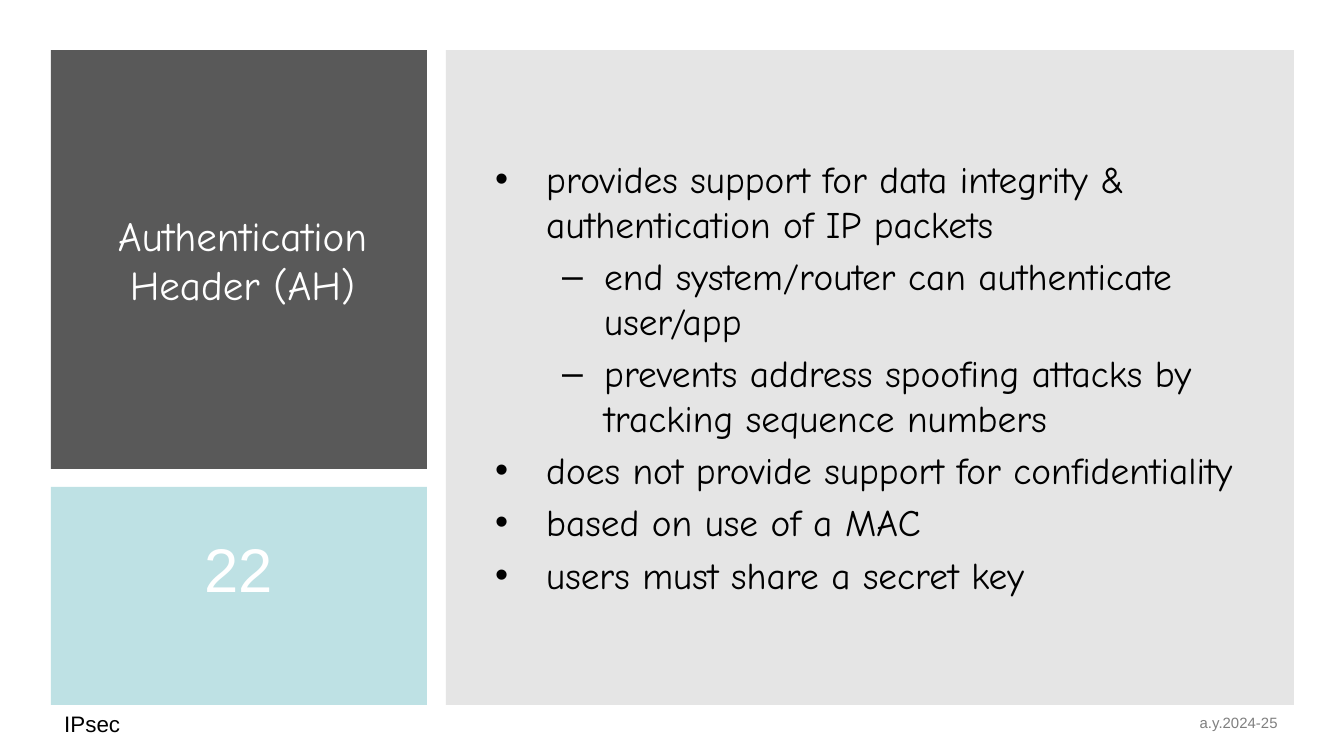
from lxml import etree
from pptx import Presentation
from pptx import util as u
from pptx.dml.color import RGBColor
from pptx.enum import shapes, text
from pptx.oxml.ns import qn

EMU_PER_PX = 914400 / 134.4
COLOURS = {
    "black": "000000",
    "white": "FFFFFF",
    "charcoal": "595959",
    "aqua": "BBE0E3",
    "grey": "7F7F7F",
}
HEADING_FONT = "Comic Neue"
PLAIN_FONT = "Arial"
# level: (bullet, left margin in px, hanging indent in px)
BULLETS = {0: ("•", 51, 51), 1: ("–", 109, 42)}
POINTS = [
    (0, "provides support for data integrity & authentication of IP packets"),
    (1, "end system/router can authenticate user/app"),
    (1, "prevents address spoofing attacks by tracking sequence numbers"),
    (0, "does not provide support for confidentiality"),
    (0, "based on use of a MAC"),
    (0, "users must share a secret key"),
]


def px(length):
    return u.Emu(round(length * EMU_PER_PX))


def colour(name):
    return RGBColor.from_string(COLOURS[name])


def add_panel(slide, box, fill, opacity=100):
    panel = slide.shapes.add_shape(shapes.MSO_SHAPE.RECTANGLE, *map(px, box))
    panel.shadow.inherit = False
    panel.line.fill.background()
    panel.fill.solid()
    panel.fill.fore_color.rgb = colour(fill)
    if opacity < 100:
        value = panel._element.spPr.find(f".//{qn('a:srgbClr')}")
        etree.SubElement(value, qn("a:alpha"), val=str(opacity * 1000))


def add_frame(slide, box, anchor=text.MSO_ANCHOR.TOP):
    frame = slide.shapes.add_textbox(*map(px, box)).text_frame
    frame.word_wrap = True
    frame.vertical_anchor = anchor
    return frame


def add_run(paragraph, words, size, font, fill):
    run = paragraph.add_run()
    run.text = words
    run.font.size = u.Pt(size)
    run.font.name = font
    run.font.color.rgb = colour(fill)


def add_bullet(paragraph, level):
    symbol, margin, hanging = BULLETS[level]
    paragraph.level = level
    properties = paragraph._p.get_or_add_pPr()
    properties.set("marL", str(px(margin)))
    properties.set("indent", str(-px(hanging)))
    bullet_colour = etree.SubElement(properties, qn("a:buClr"))
    etree.SubElement(bullet_colour, qn("a:srgbClr"), val=COLOURS["black"])
    etree.SubElement(properties, qn("a:buFont"), typeface=PLAIN_FONT)
    etree.SubElement(properties, qn("a:buChar"), char=symbol)


def add_title(slide, left, top, width, height):
    add_panel(slide, (left, top, width, height), "charcoal")
    box = (left + 35, top + 31, width - 63, height - 62)
    paragraph = add_frame(slide, box, text.MSO_ANCHOR.MIDDLE).paragraphs[0]
    paragraph.alignment = text.PP_ALIGN.CENTER
    add_run(paragraph, "Authentication Header (AH)", 22, HEADING_FONT, "white")


def add_slide_number(slide, left, top, width, height):
    add_panel(slide, (left, top, width, height), "aqua", 95)
    box = (left + 79, top + 37, width - 158, height - 74)
    paragraph = add_frame(slide, box).paragraphs[0]
    paragraph.alignment = text.PP_ALIGN.CENTER
    add_run(paragraph, "22", 33, PLAIN_FONT, "white")


def add_points(slide, left, top, width, height):
    add_panel(slide, (left, top, width, height), "grey", 20)
    box = (left + 36, top + 25, width - 73, height - 52)
    frame = add_frame(slide, box, text.MSO_ANCHOR.MIDDLE)
    for index, (level, words) in enumerate(POINTS):
        paragraph = frame.add_paragraph() if index else frame.paragraphs[0]
        add_bullet(paragraph, level)
        if index:
            paragraph.space_before = u.Pt(4)
        add_run(paragraph, words, 20, HEADING_FONT, "black")


def add_footer(slide, left, top, width, height):
    topic = add_frame(slide, (left, top, 735, height)).paragraphs[0]
    topic.line_spacing = 0.9
    add_run(topic, "IPsec", 12, PLAIN_FONT, "black")
    year_width = 302
    year_box = (left + width - year_width, top, year_width, height)
    year = add_frame(slide, year_box).paragraphs[0]
    year.alignment = text.PP_ALIGN.RIGHT
    add_run(year, "a.y.2024-25", 8, PLAIN_FONT, "grey")


def main():
    presentation = Presentation()
    presentation.slide_width = px(1344)
    presentation.slide_height = px(756)
    slide = presentation.slides.add_slide(presentation.slide_layouts[6])
    add_title(slide, 51, 50, 376, 419)
    add_slide_number(slide, 51, 487, 376, 218)
    add_points(slide, 446, 50, 848, 655)
    add_footer(slide, 51, 707, 1240, 40)
    presentation.save("out.pptx")


if __name__ == "__main__":
    main()
